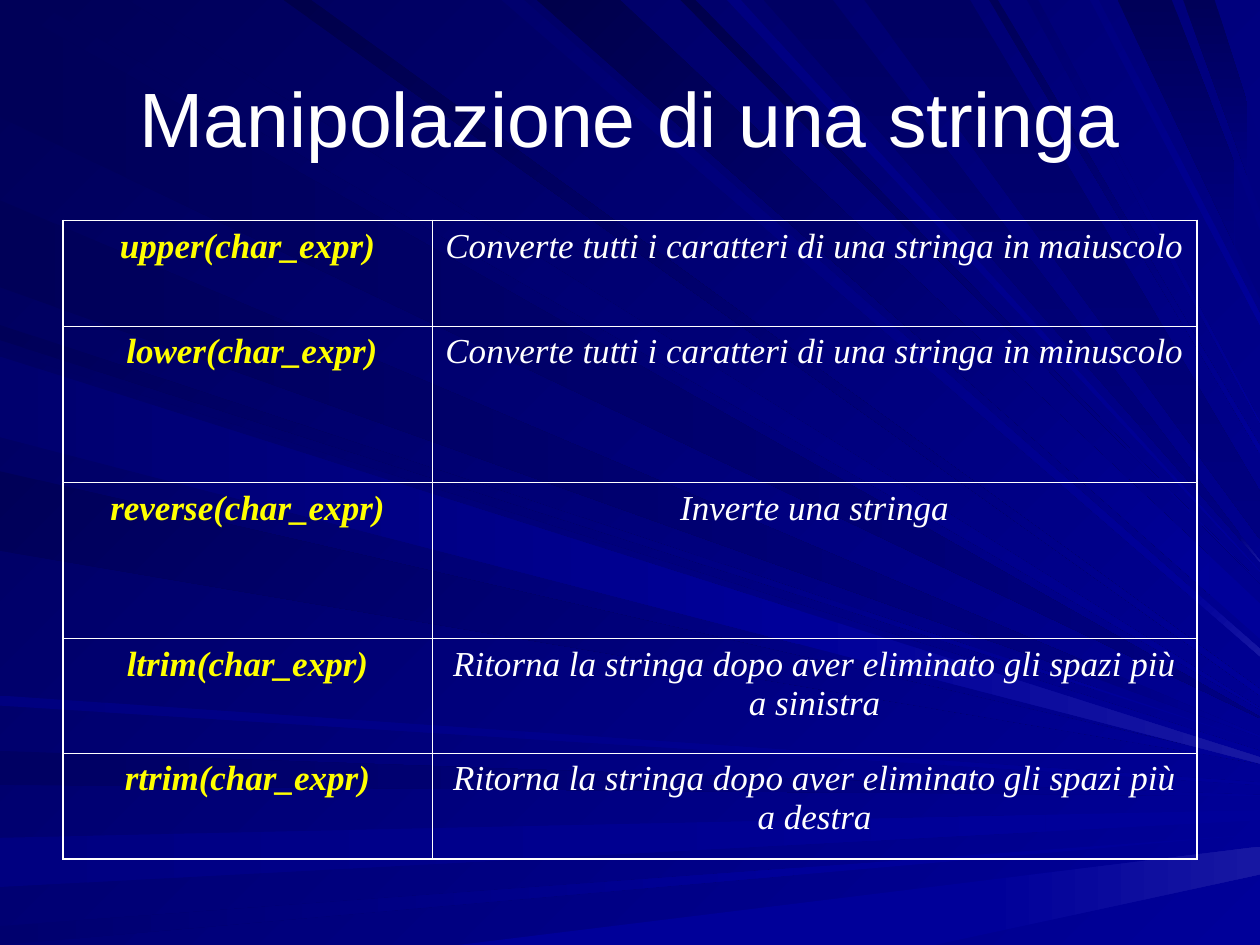
from dataclasses import dataclass
from typing import Optional

from lxml import etree
from pptx import Presentation
from pptx.dml.color import RGBColor
from pptx.enum import text
from pptx.oxml import ns
from pptx.util import Inches, Pt

WHITE = RGBColor(0xFF, 0xFF, 0xFF)
YELLOW = RGBColor(0xFF, 0xFF, 0x00)
ABYSS = RGBColor(0x00, 0x00, 0x4B)
MIDNIGHT = RGBColor(0x00, 0x00, 0x58)
DUSK = RGBColor(0x00, 0x00, 0x63)
DEEP = RGBColor(0x00, 0x00, 0x6E)
NAVY = RGBColor(0x00, 0x00, 0x80)
BLUE = RGBColor(0x00, 0x00, 0x99)
GLOW = RGBColor(0x17, 0x17, 0xA2)

WIDTH, HEIGHT = 10, 7.5
ACROSS, DIAGONAL, DOWN = 0, 45, 90  # clockwise gradient angles
OUTER, INNER = Pt(1.08), Pt(0.45)

Point = tuple[float, float]


@dataclass
class Beam:
    """A beam of light from one slide edge to the right edge."""
    edge: str
    start: tuple[float, float]  # span on the first edge
    end: tuple[float, float]    # span on the right edge
    dark: RGBColor
    light: RGBColor
    angle: int
    split: Optional[float] = None    # x where the tail begins
    tail: Optional[RGBColor] = None  # colour the tail fades to


@dataclass
class Function:
    call: str
    meaning: str
    height: float


BEAMS = [
    Beam("left", (0.02, 0.93), (5.69, 5.7), MIDNIGHT, NAVY, ACROSS),
    Beam("top", (1.01, 0.26), (5.62, 5.63), MIDNIGHT, BLUE, DIAGONAL),
    Beam("left", (5.96, 6.23), (6.31, 6.32), DUSK, NAVY, ACROSS, 7, BLUE),
    Beam("left", (6.65, 7.04), (6.43, 6.51), NAVY, BLUE, ACROSS, 8.3, BLUE),
    Beam("left", (7.35, 7.5), (6.62, 6.62), DEEP, BLUE, ACROSS, 6.3, BLUE),
    Beam("bottom", (3.64, 7.42), (6.72, 6.94), BLUE, BLUE, ACROSS, 7.8, GLOW),
    Beam("left", (2.58, 2.7), (5.89, 5.89), MIDNIGHT, BLUE, DIAGONAL, 8.7, BLUE),
    Beam("left", (1.59, 2.28), (5.84, 5.85), MIDNIGHT, NAVY, ACROSS, 8.7, BLUE),
    Beam("top", (3.98, 4.16), (5.21, 5.15), DEEP, BLUE, DIAGONAL, 9.45, GLOW),
    Beam("top", (4.26, 4.92), (5.07, 4.79), ABYSS, BLUE, DIAGONAL, 9.6, BLUE),
    Beam("top", (5.4, 5.52), (4.63, 4.63), ABYSS, BLUE, DIAGONAL),
    Beam("top", (6.06, 6.61), (4.46, 4.45), DUSK, NAVY, DOWN, 9.85, GLOW),
    Beam("top", (8.87, 9.3), (2.37, 1.83), MIDNIGHT, NAVY, DOWN, 9.8, NAVY),
    Beam("top", (9.39, 9.64), (1.67, 1.14), MIDNIGHT, NAVY, DOWN, 9.9, NAVY),
    Beam("left", (2.78, 3.42), (5.96, 6.02), DUSK, BLUE, DIAGONAL),
    Beam("left", (3.74, 4.37), (6.05, 6.06), MIDNIGHT, BLUE, DIAGONAL),
    Beam("left", (5.52, 5.6), (6.21, 6.23), NAVY, BLUE, ACROSS),
    Beam("top", (2.25, 2.47), (5.52, 5.47), ABYSS, BLUE, DIAGONAL),
    Beam("top", (5.77, 5.88), (4.54, 4.53), NAVY, BLUE, DIAGONAL),
    Beam("top", (6.86, 7.7), (4.28, 3.9), DUSK, NAVY, DOWN),
    Beam("top", (7.85, 7.92), (3.6, 3.54), MIDNIGHT, BLUE, DIAGONAL),
    Beam("top", (8.15, 8.24), (3.36, 3.35), DEEP, BLUE, DIAGONAL),
    Beam("top", (8.65, 8.72), (2.58, 2.49), NAVY, BLUE, DIAGONAL),
    Beam("left", (2.83, 3.47), (6.01, 6.06), DEEP, BLUE, ACROSS, 6.35, GLOW),
]

FUNCTIONS = [
    Function("upper(char_expr)", "Converte tutti i caratteri di una stringa in maiuscolo", 0.84),
    Function(" lower(char_expr)", "Converte tutti i caratteri di una stringa in minuscolo", 1.24),
    Function("reverse(char_expr)", "Inverte una stringa", 1.24),
    Function("ltrim(char_expr)", "Ritorna la stringa dopo aver eliminato gli spazi più a sinistra", 0.91),
    Function("rtrim(char_expr)", "Ritorna la stringa dopo aver eliminato gli spazi più a destra", 0.84),
]
COLUMNS = (2.93, 6.07)


def set_gradient(fill, start: RGBColor, end: RGBColor, angle: int) -> None:
    fill.gradient()
    fill.gradient_angle = -angle % 360  # python-pptx counts counter-clockwise
    for stop, color in zip(fill.gradient_stops, (start, end)):
        stop.color.rgb = color


def draw_strip(s, near: list[Point], far: list[Point],
               start: RGBColor, end: RGBColor, angle: int) -> None:
    first, *rest = [(Inches(x), Inches(y)) for x, y in near + far[::-1]]
    builder = s.shapes.build_freeform(*first)
    builder.add_line_segments(rest, close=True)
    sp = builder.convert_to_shape()
    sp.shadow.inherit = False
    sp.line.fill.background()
    if start == end:
        sp.fill.solid()
        sp.fill.fore_color.rgb = start
    else:
        set_gradient(sp.fill, start, end, angle)


def point_at(x: float, a: Point, b: Point) -> Point:
    return x, a[1] + (b[1] - a[1]) * (x - a[0]) / (b[0] - a[0])


def draw_beam(s, beam: Beam) -> None:
    if beam.edge == "left":
        near = [(0, y) for y in beam.start]
    else:
        near = [(x, 0 if beam.edge == "top" else HEIGHT) for x in beam.start]
    far = [(WIDTH, y) for y in beam.end]
    if beam.split is None:
        draw_strip(s, near, far, beam.dark, beam.light, beam.angle)
    else:
        cut = [point_at(beam.split, a, b) for a, b in zip(near, far)]
        draw_strip(s, near, cut, beam.dark, beam.light, beam.angle)
        draw_strip(s, cut, far, beam.light, beam.tail, beam.angle)


def write(tf, content: str, font: str, size: int, color: RGBColor,
          bold: bool = False, italic: bool = False) -> None:
    tf.text = content
    p = tf.paragraphs[0]
    p.alignment = text.PP_ALIGN.CENTER
    f = p.runs[0].font
    f.name, f.size, f.bold, f.italic = font, Pt(size), bold, italic
    f.color.rgb = color


def set_borders(cell, widths: dict[str, int]) -> None:
    tc_pr = cell._tc.get_or_add_tcPr()
    for side, width in widths.items():
        ln = etree.SubElement(tc_pr, ns.qn(f"a:ln{side}"), w=str(int(width)))
        fill = etree.SubElement(ln, ns.qn("a:solidFill"))
        etree.SubElement(fill, ns.qn("a:srgbClr"), val=str(WHITE))


def draw_table(s, functions: list[Function]) -> None:
    height = sum(f.height for f in functions)
    table = s.shapes.add_table(len(functions), len(COLUMNS), Inches(0.5), Inches(1.75),
                               Inches(sum(COLUMNS)), Inches(height)).table
    table.first_row = table.horz_banding = False
    for column, width in zip(table.columns, COLUMNS):
        column.width = Inches(width)
    last_row, last_col = len(functions) - 1, len(COLUMNS) - 1
    for i, function in enumerate(functions):
        table.rows[i].height = Inches(function.height)
        for j, content in enumerate((function.call, function.meaning)):
            cell = table.cell(i, j)
            set_borders(cell, {
                "L": OUTER if j == 0 else INNER,
                "R": OUTER if j == last_col else INNER,
                "T": OUTER if i == 0 else INNER,
                "B": OUTER if i == last_row else INNER,
            })
            cell.fill.background()
            write(cell.text_frame, content, "Times New Roman", 20,
                  YELLOW if j == 0 else WHITE, bold=j == 0, italic=True)
            cell.text_frame.paragraphs[0].space_before = Pt(5)


def main() -> None:
    prs = Presentation()
    prs.slide_width, prs.slide_height = Inches(WIDTH), Inches(HEIGHT)
    s = prs.slides.add_slide(prs.slide_layouts[6])

    # Background with beams of light
    set_gradient(s.background.fill, MIDNIGHT, BLUE, DIAGONAL)
    for beam in BEAMS:
        draw_beam(s, beam)

    # Title
    tf = s.shapes.add_textbox(Inches(0.5), Inches(0.3), Inches(9), Inches(1.25)).text_frame
    tf.word_wrap = True
    tf.vertical_anchor = text.MSO_ANCHOR.MIDDLE
    write(tf, "Manipolazione di una stringa", "Arial", 44, WHITE)

    # String functions
    draw_table(s, FUNCTIONS)
    prs.save("out.pptx")


if __name__ == "__main__":
    main()
